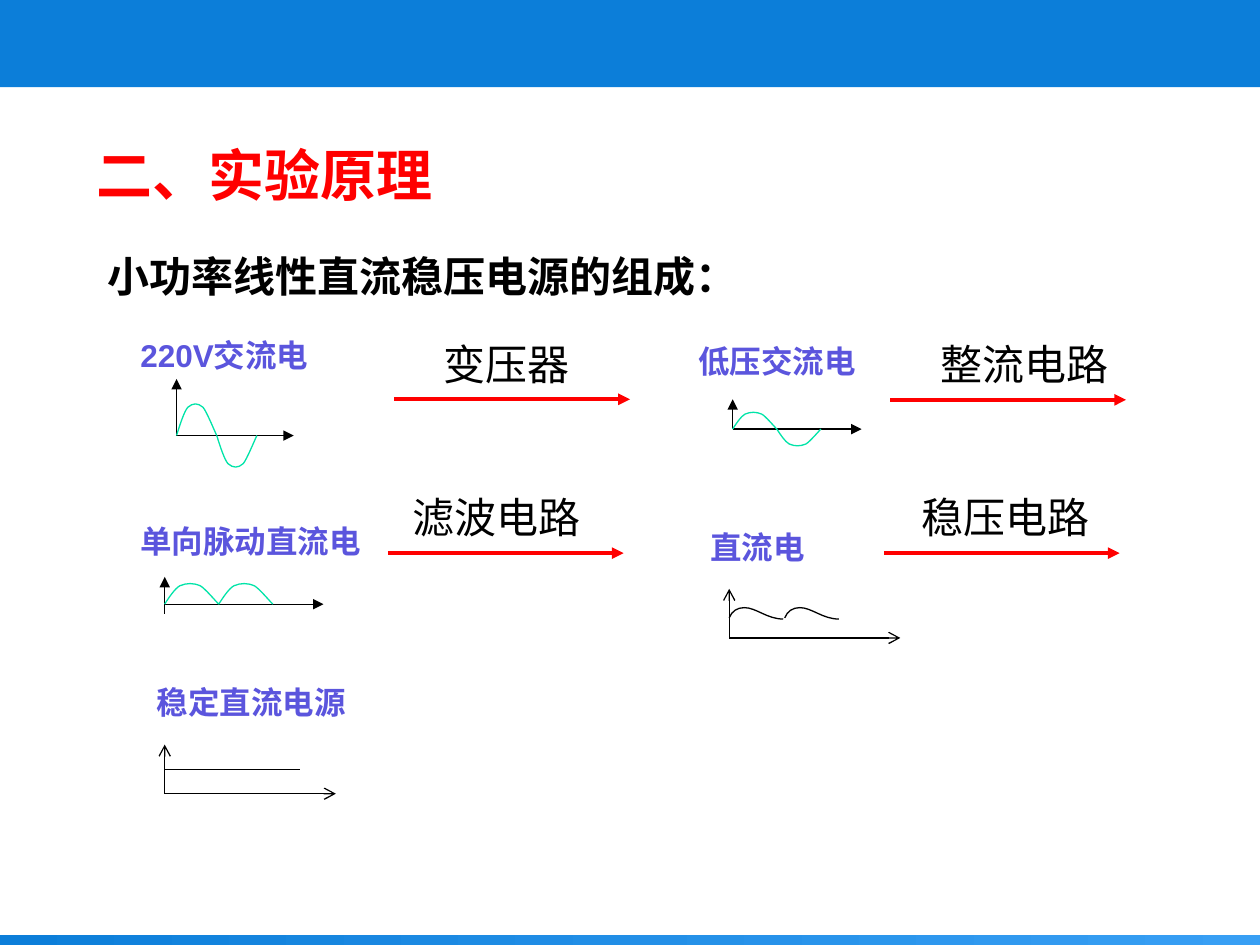
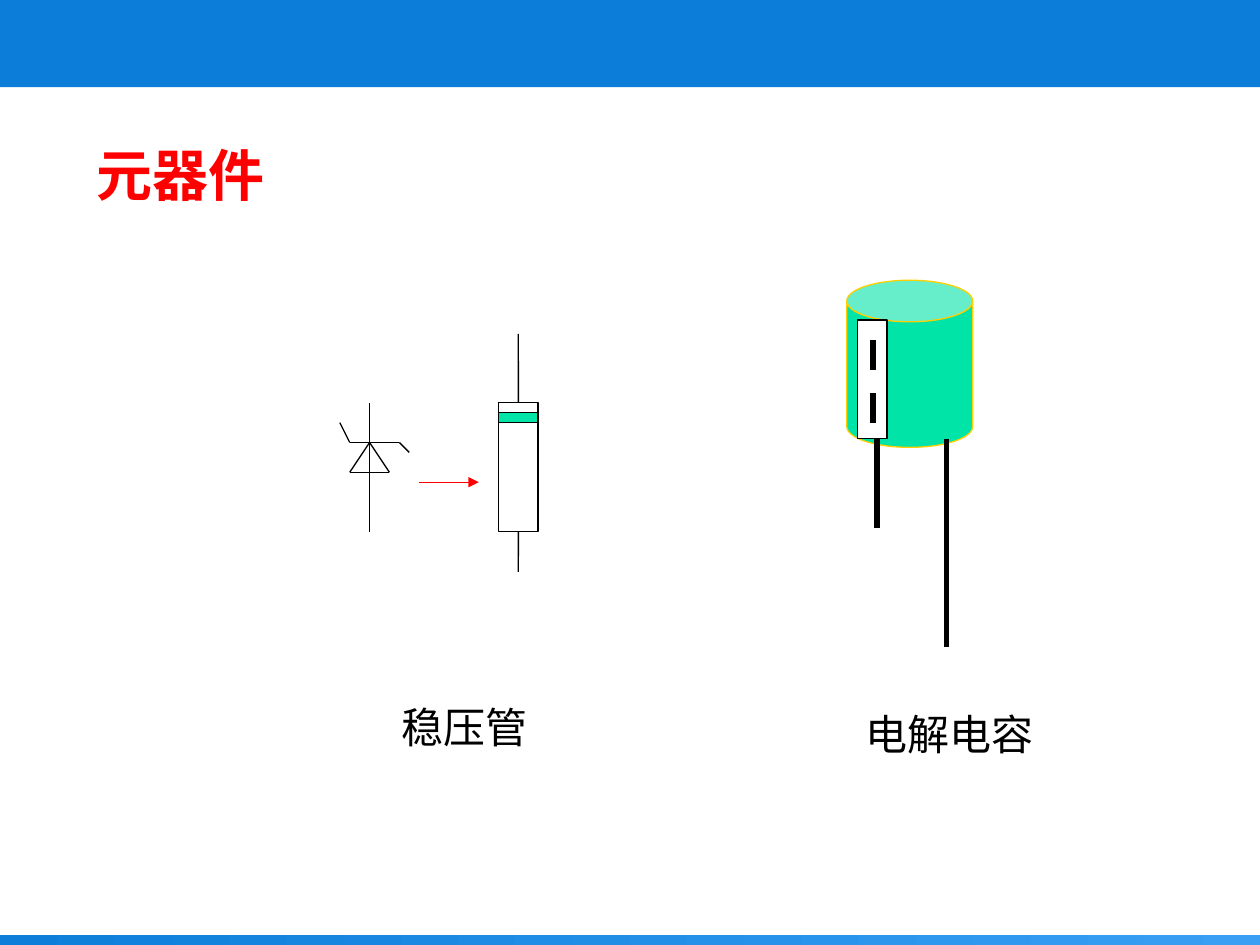
"""Build two slides on the principle and parts of a regulated DC supply."""
from dataclasses import dataclass
from itertools import pairwise
from typing import Any, NamedTuple

from pptx import Presentation
from pptx.dml.color import RGBColor
from pptx.enum.lang import MSO_LANGUAGE_ID
from pptx.enum.shapes import MSO_CONNECTOR, MSO_SHAPE
from pptx.enum.text import MSO_ANCHOR, PP_ALIGN
from pptx.oxml.ns import qn
from pptx.util import Cm, Pt
from lxml.etree import SubElement


@dataclass(frozen=True)
class Theme:
    """Colours, fonts, type sizes and line widths of the deck."""
    band: RGBColor = RGBColor(0x0C, 0x7E, 0xD9)
    band_light: RGBColor = RGBColor(0x38, 0x9F, 0xF4)
    red: RGBColor = RGBColor(0xFF, 0x00, 0x00)
    black: RGBColor = RGBColor(0x00, 0x00, 0x00)
    white: RGBColor = RGBColor(0xFF, 0xFF, 0xFF)
    violet: RGBColor = RGBColor(0x5B, 0x55, 0xDD)
    green: RGBColor = RGBColor(0x00, 0xE4, 0xA8)
    gold: RGBColor = RGBColor(0xFF, 0xCF, 0x01)
    serif: str = "Times New Roman"
    sans: str = "Arial"
    title_size: float = 32
    text_size: float = 24
    label_size: float = 18
    thin: float = 0.75
    medium: float = 2.25
    thick: float = 3


THEME = Theme()


class Point(NamedTuple):
    """A place on the slide, in centimetres."""
    x: float
    y: float


class Frame(NamedTuple):
    """A rectangle on the slide, in centimetres."""
    left: float
    top: float
    width: float
    height: float


class Label(NamedTuple):
    """A short text with its place and width."""
    text: str
    left: float
    top: float
    width: float


class Step(NamedTuple):
    """A circuit stage: an arrow with a caption above it."""
    text: str
    start: Point
    caption_shift: float
    caption_width: float


Profile = tuple[tuple[float, float], ...]
ARCH: Profile = (
    (0, 0), (0.09, 0.35), (0.19, 0.73), (0.28, 0.86),
    (0.41, 1), (0.53, 1), (0.66, 0.86),
    (0.75, 0.73), (0.94, 0.15), (1, 0),
)
RIPPLE: Profile = (
    (0, 0.1), (0.05, 0.7), (0.15, 1), (0.28, 1),
    (0.5, 1), (0.7, 0), (1, 0),
)


@dataclass(frozen=True)
class Graph:
    """A small voltage graph: two axes and a repeated curve or a level line."""
    origin: Point
    across: float
    up: float
    below: float = 0
    head: str = "triangle"
    profile: Profile = ()
    heights: tuple[float, ...] = ()
    width: float = 0
    pitch: float = 0
    lift: float = 0
    color: RGBColor = THEME.green


TITLE_FRAME = Frame(1.7, 1.75, 21.64, 2.57)
SUBTITLE_FRAME = Frame(1.91, 4.93, 21.59, 12.12)
STEP_LENGTH = 4.75
STEP_RISE = 1.36

STEPS = (
    Step("变压器", Point(7.95, 8.05), 0.74, 3.05),
    Step("整流电路", Point(17.95, 8.06), 0.76, 3.89),
    Step("滤波电路", Point(7.82, 11.15), 0.25, 3.89),
    Step("稳压电路", Point(17.82, 11.15), 0.5, 3.89),
)
STATES = (
    Label("220V交流电", 2.58, 6.65, 4.04),
    Label("低压交流电", 13.83, 6.78, 3.76),
    Label("单向脉动直流电", 2.58, 10.4, 5.05),
    Label("直流电", 14.07, 10.52, 2.64),
    Label("稳定直流电源", 2.91, 13.64, 4.39),
)
GRAPHS = (
    Graph(Point(3.56, 8.78), 2.36, 1.14, profile=ARCH,
          heights=(0.66, -0.66), width=0.81, pitch=0.81),
    Graph(Point(14.77, 8.65), 2.6, 0.6, profile=ARCH,
          heights=(0.35, -0.35), width=0.89, pitch=0.89),
    Graph(Point(3.32, 12.18), 3.2, 0.55, below=0.19, profile=ARCH,
          heights=(0.43, 0.43), width=1.09, pitch=1.09),
    Graph(Point(14.7, 12.86), 3.45, 0.99, head="arrow", profile=RIPPLE,
          heights=(0.23, 0.23), width=1.09, pitch=1.12, lift=0.38,
          color=THEME.black),
    Graph(Point(3.32, 16), 3.45, 0.99, head="arrow", width=2.72, lift=0.49),
)

ANODE_LEFT, ANODE_RIGHT = Point(7.05, 9.52), Point(7.85, 9.52)
CATHODE_LEFT, CATHODE_TIP = Point(7.05, 8.92), Point(7.45, 8.92)
CATHODE_RIGHT, CATHODE_END = Point(7.85, 8.92), Point(8.05, 8.92)
ZENER_STROKES = (
    (Point(6.85, 8.52), CATHODE_LEFT, CATHODE_RIGHT, CATHODE_END, Point(8.25, 9.12)),
    (CATHODE_TIP, ANODE_LEFT, ANODE_RIGHT, CATHODE_TIP),
    (Point(7.45, 8.12), Point(7.45, 10.72)),
)
PART_NAMES = (
    Label("稳压管", 7.85, 14.02, 3.05),
    Label("电解电容", 17.2, 14.15, 3.89),
)


def apply(target: Any, formats: dict[str, Any]) -> None:
    """Set every format value on the target."""
    for name, value in formats.items():
        setattr(target, name, value)


def add_text(page: Any, text: str, frame: Frame, formats: dict[str, Any],
             wrap: bool = True, anchor: MSO_ANCHOR = MSO_ANCHOR.TOP) -> None:
    """Add a one-paragraph text box."""
    box = page.shapes.add_textbox(*map(Cm, frame))
    apply(box.text_frame, {"word_wrap": wrap, "vertical_anchor": anchor})
    para = box.text_frame.paragraphs[0]
    para.alignment = PP_ALIGN.LEFT
    span = para.add_run()
    span.text = text
    values = dict(formats)
    span.font.color.rgb = values.pop("color")
    apply(span.font, values | {"language_id": MSO_LANGUAGE_ID.SIMPLIFIED_CHINESE})


def text_format(font: str, size: float, color: RGBColor, bold: bool = False) -> dict[str, Any]:
    """Return the format values of a text style."""
    return {"name": font, "size": Pt(size), "color": color, "bold": bold}


TITLE = text_format(THEME.serif, THEME.title_size, THEME.red, True)
SUBTITLE = text_format(THEME.serif, THEME.text_size, THEME.black, True)
CAPTION = text_format(THEME.serif, THEME.text_size, THEME.black)
STATE = text_format(THEME.sans, THEME.label_size, THEME.violet, True)


def add_line(page: Any, start: Point, end: Point, color: RGBColor = THEME.black,
             width: float = THEME.thin, head: str = "") -> Any:
    """Add a straight line, with an arrowhead at its end if one is named."""
    line = page.shapes.add_connector(
        MSO_CONNECTOR.STRAIGHT, *map(Cm, (*start, *end)))
    line.line.color.rgb = color
    line.line.width = Pt(width)
    properties = line._element.spPr
    if head:
        SubElement(properties.find(qn("a:ln")), qn("a:tailEnd"), type=head)
    SubElement(properties, qn("a:effectLst"))
    return line


def add_block(page: Any, kind: MSO_SHAPE, frame: Frame, fill: RGBColor,
              outline: RGBColor | None = None) -> Any:
    """Add a filled preset shape."""
    block = page.shapes.add_shape(kind, *map(Cm, frame))
    block.shadow.inherit = False
    block.fill.solid()
    block.fill.fore_color.rgb = fill
    if outline is None:
        block.line.fill.background()
    else:
        block.line.color.rgb = outline
        block.line.width = Pt(THEME.thin)
    return block


def bend(curve: Any) -> None:
    """Turn each three line segments of a freeform into one cubic curve."""
    outline = curve._element.find(".//" + qn("a:path"))
    segments = outline.findall(qn("a:lnTo"))
    for first in range(0, len(segments), 3):
        cubic = SubElement(outline, qn("a:cubicBezTo"))
        for segment in segments[first:first + 3]:
            cubic.append(segment[0])
            outline.remove(segment)


def add_curve(page: Any, profile: Profile, start: Point, width: float,
              height: float, color: RGBColor) -> None:
    """Add an open curve that rises from its start by the given height."""
    points = [(Cm(start.x + width * x), Cm(start.y - height * y)) for x, y in profile]
    builder = page.shapes.build_freeform(*points[0])
    builder.add_line_segments(points[1:], close=False)
    curve = builder.convert_to_shape()
    bend(curve)
    curve.shadow.inherit = False
    curve.fill.background()
    curve.line.color.rgb = color
    curve.line.width = Pt(THEME.thin)


def add_graph(page: Any, graph: Graph) -> None:
    """Draw the axes and the voltage of one graph."""
    x, y = graph.origin
    add_line(page, graph.origin, Point(x + graph.across, y), head=graph.head)
    add_line(page, Point(x, y + graph.below), Point(x, y - graph.up), head=graph.head)
    base = y - graph.lift
    for index, height in enumerate(graph.heights):
        start = Point(x + index * graph.pitch, base)
        add_curve(page, graph.profile, start, graph.width, height, graph.color)
    if not graph.heights:
        add_line(page, Point(x, base), Point(x + graph.width, base))


def add_page(deck: Any, title: str) -> Any:
    """Add a blank page with both bands and its title."""
    page = deck.slides.add_slide(deck.slide_layouts[6])
    footer = add_block(page, MSO_SHAPE.RECTANGLE, Frame(0, 18.84, 25.4, 0.21), THEME.band)
    footer.fill.gradient()
    footer.fill.gradient_angle = 0
    for stop, color in zip(footer.fill.gradient_stops, (THEME.band, THEME.band_light)):
        stop.color.rgb = color
    add_block(page, MSO_SHAPE.RECTANGLE, Frame(0, 0, 25.4, 1.76), THEME.band)
    add_text(page, title, TITLE_FRAME, TITLE, anchor=MSO_ANCHOR.BOTTOM)
    return page


def add_principle(deck: Any) -> None:
    """Build the page on the stages of the supply."""
    page = add_page(deck, "二、实验原理")
    add_text(page, "小功率线性直流稳压电源的组成：", SUBTITLE_FRAME, SUBTITLE)
    for step in STEPS:
        x, y = step.start
        add_line(page, step.start, Point(x + STEP_LENGTH, y), THEME.red, THEME.medium, "triangle")
        frame = Frame(x + step.caption_shift, y - STEP_RISE, step.caption_width, 1.27)
        add_text(page, step.text, frame, CAPTION, wrap=False)
    for graph in GRAPHS:
        add_graph(page, graph)
    for text, left, top, width in STATES:
        add_text(page, text, Frame(left, top, width, 1.02), STATE)


def add_zener(page: Any) -> None:
    """Draw the zener symbol and the part it stands for."""
    for stroke in ZENER_STROKES:
        for start, end in pairwise(stroke):
            add_line(page, start, end)
    body = add_block(page, MSO_SHAPE.RECTANGLE, Frame(10.05, 8.12, 0.8, 2.6),
                     THEME.white, THEME.black)
    add_block(page, MSO_SHAPE.RECTANGLE, Frame(10.05, 8.32, 0.8, 0.2),
              THEME.green, THEME.black)
    for site, edge, tip in ((0, 8.12, 6.73), (2, 10.72, 11.53)):
        lead = add_line(page, Point(10.45, edge), Point(10.45, tip))
        lead.begin_connect(body, site)
    add_line(page, Point(8.45, 9.72), Point(9.65, 9.72), THEME.red, head="triangle")


def add_capacitor(page: Any) -> None:
    """Draw the electrolytic capacitor with its minus marks."""
    can = add_block(page, MSO_SHAPE.CAN, Frame(17.07, 5.65, 2.54, 3.37),
                    THEME.green, THEME.gold)
    can.adjustments[0] = 0.33
    strokes = ((17.68, 8.84, 10.64), (19.08, 8.84, 13.05),
               (17.6, 6.85, 7.45), (17.6, 7.92, 8.53))
    add_block(page, MSO_SHAPE.RECTANGLE, Frame(17.28, 6.45, 0.6, 2.39),
              THEME.white, THEME.black)
    for x, top, bottom in strokes:
        add_line(page, Point(x, top), Point(x, bottom), width=THEME.thick)


def add_parts(deck: Any) -> None:
    """Build the page on the components."""
    page = add_page(deck, "元器件")
    add_zener(page)
    add_capacitor(page)
    for text, left, top, width in PART_NAMES:
        add_text(page, text, Frame(left, top, width, 1.27), CAPTION, wrap=False)


def main() -> None:
    """Build and save the deck."""
    deck = Presentation()
    apply(deck, {"slide_width": Cm(25.4), "slide_height": Cm(19.05)})
    add_principle(deck)
    add_parts(deck)
    deck.save("out.pptx")


if __name__ == "__main__":
    main()
